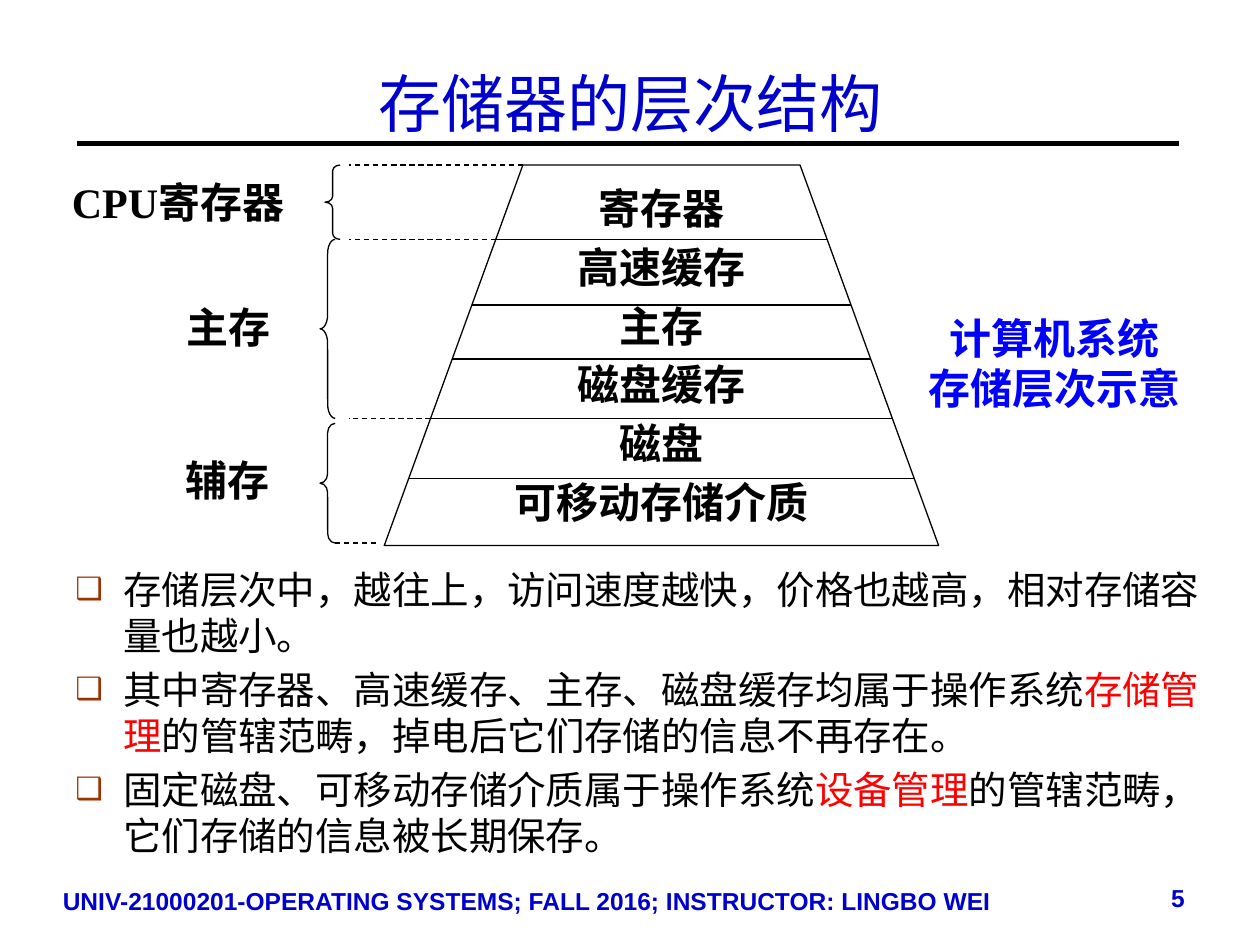
from lxml import etree
from pptx import Presentation
from pptx.dml.color import RGBColor
from pptx.enum.dml import MSO_LINE
from pptx.enum.shapes import MSO_CONNECTOR, MSO_SHAPE
from pptx.enum.text import MSO_ANCHOR, PP_ALIGN
from pptx.oxml.ns import qn
from pptx.util import Inches, Pt

STRAIGHT = MSO_CONNECTOR.STRAIGHT
LEFT_BRACE = MSO_SHAPE.LEFT_BRACE
DASH = MSO_LINE.DASH
TOP, MIDDLE = MSO_ANCHOR.TOP, MSO_ANCHOR.MIDDLE
LEFT, CENTER, RIGHT = PP_ALIGN.LEFT, PP_ALIGN.CENTER, PP_ALIGN.RIGHT

BLACK = RGBColor(0x00, 0x00, 0x00)
WHITE = RGBColor(0xFF, 0xFF, 0xFF)
NAVY = RGBColor(0x00, 0x00, 0xCC)
BLUE = RGBColor(0x00, 0x00, 0xFF)
RED = RGBColor(0xFF, 0x00, 0x00)
BROWN = "993300"

SERIF, SANS, BODY = "Times New Roman", "Arial", "TeX Gyre Schola"

COLUMNS, ROWS = 100, 75
CELL = Inches(10) // COLUMNS

APEX, BASE = 13.1, 43.3
APEX_LEFT, APEX_RIGHT = 41.5, 63.5
SPREAD = 11
DIVIDERS = [19, 24.2, 28.5, 33.2, 38]
DASH_END = 27.7
LEVELS = ["寄存器", "高速缓存", "主存", "磁盘缓存", "磁盘", "可移动存储介质"]
BRACES = [(25.8, 13.1, 19), (25.4, 19, 33.2), (25.4, 33.6, 43.1)]
BRACE_WIDTH = 1.2
GROUPS = [("CPU寄存器", 5.7, 13.9, 18.5), ("主存", 14.8, 23.8, 11.8),
          ("辅存", 14.7, 36, 12.6)]
POINTS = [
    [("存储层次中，越往上，访问速度越快，价格也越高，相对存储容量也越小。", BLACK)],
    [("其中寄存器、高速缓存、主存、磁盘缓存均属于操作系统", BLACK),
     ("存储管理", RED),
     ("的管辖范畴，掉电后它们存储的信息不再存在。", BLACK)],
    [("固定磁盘、可移动存储介质属于操作系统", BLACK),
     ("设备管理", RED),
     ("的管辖范畴，它们存储的信息被长期保存。", BLACK)],
]
FOOTER = "UNIV-21000201-OPERATING SYSTEMS; FALL 2016; INSTRUCTOR: LINGBO WEI"


def cells(*counts):
    return [round(count * CELL) for count in counts]


def style_run(run, font, size, color, bold=False):
    run.font.name = font
    run.font.size = Pt(size)
    run.font.color.rgb = color
    run.font.bold = bold


def write_lines(frame, lines, font, size, color, bold=False, align=LEFT, gap=0):
    frame.text = "\n".join(lines)
    for paragraph in frame.paragraphs:
        paragraph.alignment = align
        paragraph.space_before = Pt(gap)
        for run in paragraph.runs:
            style_run(run, font, size, color, bold)


def set_insets(frame, side, top, bottom):
    frame.margin_left = frame.margin_right = Inches(side)
    frame.margin_top, frame.margin_bottom = Inches(top), Inches(bottom)


def add_text(slide, area, lines, font, size, color, align=LEFT, wrap=True):
    frame = slide.shapes.add_textbox(*cells(*area)).text_frame
    frame.word_wrap = wrap
    frame.vertical_anchor = TOP
    write_lines(frame, lines, font, size, color, True, align)
    return frame


def add_rule(slide, start, end, row, width=0.75, dash=None):
    rule = slide.shapes.add_connector(STRAIGHT, *cells(start, row, end, row))
    rule.line.color.rgb = BLACK
    rule.line.width = Pt(width)
    if dash:
        rule.line.dash_style = dash
    etree.SubElement(rule._element.spPr, qn("a:effectLst"))


def add_brace(slide, left, top, bottom):
    brace = slide.shapes.add_shape(
        LEFT_BRACE, *cells(left, top, BRACE_WIDTH, bottom - top))
    brace.adjustments[0] = 0.08 * (bottom - top) / BRACE_WIDTH
    brace.adjustments[1] = 0.5
    brace.fill.background()
    brace.line.color.rgb = BLACK
    brace.line.width = Pt(0.75)
    brace.shadow.inherit = False


def side_offset(row):
    return SPREAD * (row - APEX) / (BASE - APEX)


def add_pyramid(slide):
    corners = [(APEX_RIGHT, APEX), (APEX_RIGHT + SPREAD, BASE),
               (APEX_LEFT - SPREAD, BASE)]
    builder = slide.shapes.build_freeform(*cells(APEX_LEFT, APEX))
    builder.add_line_segments([cells(*corner) for corner in corners], close=True)
    pyramid = builder.convert_to_shape()
    pyramid.fill.solid()
    pyramid.fill.fore_color.rgb = WHITE
    pyramid.line.color.rgb = BLACK
    pyramid.line.width = Pt(0.75)
    pyramid.shadow.inherit = False
    frame = pyramid.text_frame
    frame.word_wrap = False
    frame.vertical_anchor = MIDDLE
    set_insets(frame, 0.1, 0, 0.01)
    write_lines(frame, LEVELS, SANS, 24, BLACK, True, CENTER, 4.8)

    for row in DIVIDERS:
        offset = side_offset(row)
        add_rule(slide, APEX_LEFT - offset, APEX_RIGHT + offset, row)
    for row in (APEX, DIVIDERS[0], DIVIDERS[3]):
        add_rule(slide, APEX_LEFT - side_offset(row), DASH_END, row, dash=DASH)
    add_rule(slide, 26.6, 30.1, 43.1, dash=DASH)


def add_bullet(paragraph):
    properties = paragraph._p.get_or_add_pPr()
    properties.set("marL", str(Inches(0.38)))
    properties.set("indent", str(-Inches(0.38)))
    color = etree.SubElement(properties, qn("a:buClr"))
    etree.SubElement(color, qn("a:srgbClr"), val=BROWN)
    etree.SubElement(properties, qn("a:buSzPct"), val="80000")
    etree.SubElement(properties, qn("a:buFont"), typeface=SANS)
    etree.SubElement(properties, qn("a:buChar"), char="❑")


def add_points(slide):
    frame = slide.shapes.add_textbox(*cells(5, 44.4, 91.8, 23.7)).text_frame
    frame.word_wrap = True
    for index, parts in enumerate(POINTS):
        paragraph = frame.add_paragraph() if index else frame.paragraphs[0]
        paragraph.space_before = Pt(4.4)
        add_bullet(paragraph)
        for words, color in parts:
            run = paragraph.add_run()
            run.text = words
            style_run(run, BODY, 22, color)


def set_title(slide):
    title = slide.shapes.title
    title.left, title.top, title.width, title.height = cells(5, 1.9, 90, 12.5)
    title.text_frame.vertical_anchor = MIDDLE
    write_lines(title.text_frame, ["存储器的层次结构"], SERIF, 36, NAVY, align=CENTER)


def main():
    deck = Presentation()
    deck.slide_width, deck.slide_height = cells(COLUMNS, ROWS)
    slide = deck.slides.add_slide(deck.slide_layouts[5])
    set_title(slide)
    add_rule(slide, 6.1, 93.6, 11.4, width=3)
    add_points(slide)
    add_text(slide, (4, 69.8, 78.8, 5.2), [FOOTER], SANS, 14, NAVY)
    add_text(slide, (84.9, 69.6, 10.1, 5.2), ["5"], SANS, 14, NAVY, RIGHT)
    add_pyramid(slide)
    for brace in BRACES:
        add_brace(slide, *brace)
    for label, left, top, width in GROUPS:
        frame = add_text(slide, (left, top, width, 4.3), [label], SERIF, 24,
                         BLACK, wrap=False)
        set_insets(frame, 0, 0.01, 0.01)
    add_text(slide, (72.7, 24.3, 22, 9.1), ["计算机系统", "存储层次示意"],
             SERIF, 24, BLUE, CENTER, wrap=False)
    deck.save("out.pptx")


if __name__ == "__main__":
    main()
